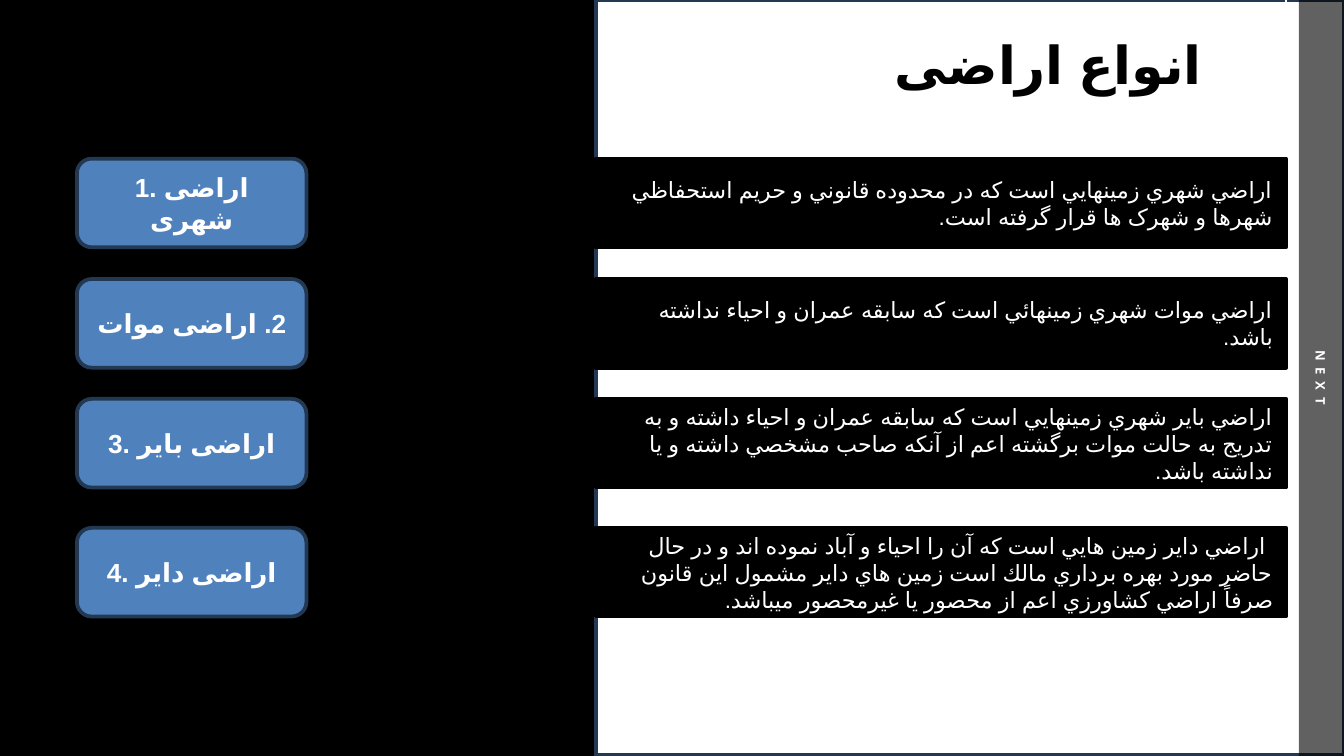
from lxml import etree
from pptx import Presentation
from pptx.dml.color import RGBColor
from pptx.enum import shapes, text
from pptx.oxml import ns
from pptx.util import Pt

COLORS = {"black": "000000", "white": "FFFFFF", "blue": "4F81BD", "navy": "233953"}

# Top of each row, label, whether the label runs right to left, definition
ROWS = [
    (85, "1. اراضی شهری", False,
     "اراضي شهري زمينهایي است كه در محدوده قانوني و حريم استحفاظي شهرها و شهرک ها قرار گرفته است."),
    (149.5, "2. اراضی موات", True,
     "اراضي موات شهري زمينهائي است كه سابقه عمران و احياء نداشته باشد."),
    (213.7, "3. اراضی بایر", False,
     "اراضي باير شهري زمينهایي است كه سابقه عمران و احياء داشته و به تدريج به حالت موات برگشته "
     "اعم از آنكه صاحب مشخصي داشته و يا نداشته باشد."),
    (282.8, "4. اراضی دایر", False,
     " اراضي داير زمين هایي است كه آن را احياء و آباد نموده اند و در حال حاضر مورد بهره برداري مالك است "
     "زمين هاي داير مشمول اين قانون صرفاً اراضي كشاورزي اعم از محصور يا غيرمحصور ميباشد."),
]
ROW_HEIGHT = 47.5


def color(name):
    return RGBColor.from_string(COLORS[name])


def add_panel(page, kind, left, top, width, height, fill, line=None):
    panel = page.shapes.add_shape(kind, Pt(left), Pt(top), Pt(width), Pt(height))
    panel.shadow.inherit = False
    panel.fill.solid()
    panel.fill.fore_color.rgb = color(fill)
    if line:
        panel.line.color.rgb = color(line)
        panel.line.width = Pt(2)
    else:
        panel.line.fill.background()
    return panel


def write(box, words, size, ink, align, bold=False, rtl=False, font="Arial", language="fa-IR"):
    frame = box.text_frame
    frame.word_wrap = True
    para = frame.paragraphs[0]
    para.alignment = align
    if rtl:
        para._p.get_or_add_pPr().set("rtl", "1")
    span = para.add_run()
    span.text = words
    span.font.name = font
    span.font.size = Pt(size)
    span.font.bold = bold
    span.font.color.rgb = color(ink)
    # Persian letters take the complex-script font and their own language
    span.font._element.set("lang", language)
    etree.SubElement(span.font._element, ns.qn("a:cs"), typeface=font)
    return para


def add_text_box(page, left, top, width, height):
    box = page.shapes.add_textbox(Pt(left), Pt(top), Pt(width), Pt(height))
    box.text_frame.auto_size = text.MSO_AUTO_SIZE.SHAPE_TO_FIT_TEXT
    return box


def add_rule(page, x, top, bottom):
    rule = page.shapes.add_connector(
        shapes.MSO_CONNECTOR.STRAIGHT, Pt(x), Pt(top), Pt(x), Pt(bottom))
    rule.line.color.rgb = color("white")
    rule.line.width = Pt(0.75)
    etree.SubElement(rule._element.spPr, ns.qn("a:effectLst"))


def add_side_band(page):
    band = add_panel(page, shapes.MSO_SHAPE.RECTANGLE, 695.8, 0, 24.2, 405, "black")
    tint = band._element.spPr.find(".//" + ns.qn("a:srgbClr"))
    etree.SubElement(tint, ns.qn("a:alpha"), val="62000")

    box = add_text_box(page, 679.7, 195.4, 60.5, 13.7)
    box.rotation = 90
    frame = box.text_frame
    frame.margin_left = frame.margin_right = frame.margin_top = frame.margin_bottom = 0
    para = write(box, "N  E  X  T", 7, "white", text.PP_ALIGN.CENTER, bold=True,
                 font="Open Sans", language="en-US")
    para.line_spacing = 1.6


def add_row(page, top, label, label_rtl, definition):
    tag = add_panel(page, shapes.MSO_SHAPE.ROUNDED_RECTANGLE,
                    41.2, top, 123, ROW_HEIGHT, "blue", "navy")
    write(tag, label, 14, "white", text.PP_ALIGN.CENTER, bold=True, rtl=label_rtl)
    bar = add_panel(page, shapes.MSO_SHAPE.RECTANGLE,
                    319, top, 370, ROW_HEIGHT, "black", "black")
    write(bar, definition, 12, "white", text.PP_ALIGN.RIGHT, rtl=True)
    for box in (tag, bar):
        box.text_frame.vertical_anchor = text.MSO_ANCHOR.MIDDLE


def main():
    deck = Presentation()
    deck.slide_width, deck.slide_height = Pt(720), Pt(405)
    page = deck.slides.add_slide(deck.slide_layouts[6])
    page.background.fill.solid()
    page.background.fill.fore_color.rgb = color("black")

    # White half, rule and side band
    add_panel(page, shapes.MSO_SHAPE.RECTANGLE, 319.2, 0, 401, 404.6, "white", "navy")
    add_rule(page, 689, 0, 170.6)
    add_side_band(page)

    # Title
    title = add_text_box(page, 319, 13.7, 332, 41)
    write(title, "انواع اراضی", 28, "black", text.PP_ALIGN.RIGHT, bold=True, rtl=True)

    # Kinds of land with their definitions
    for row in ROWS:
        add_row(page, *row)

    deck.save("out.pptx")


if __name__ == "__main__":
    main()
